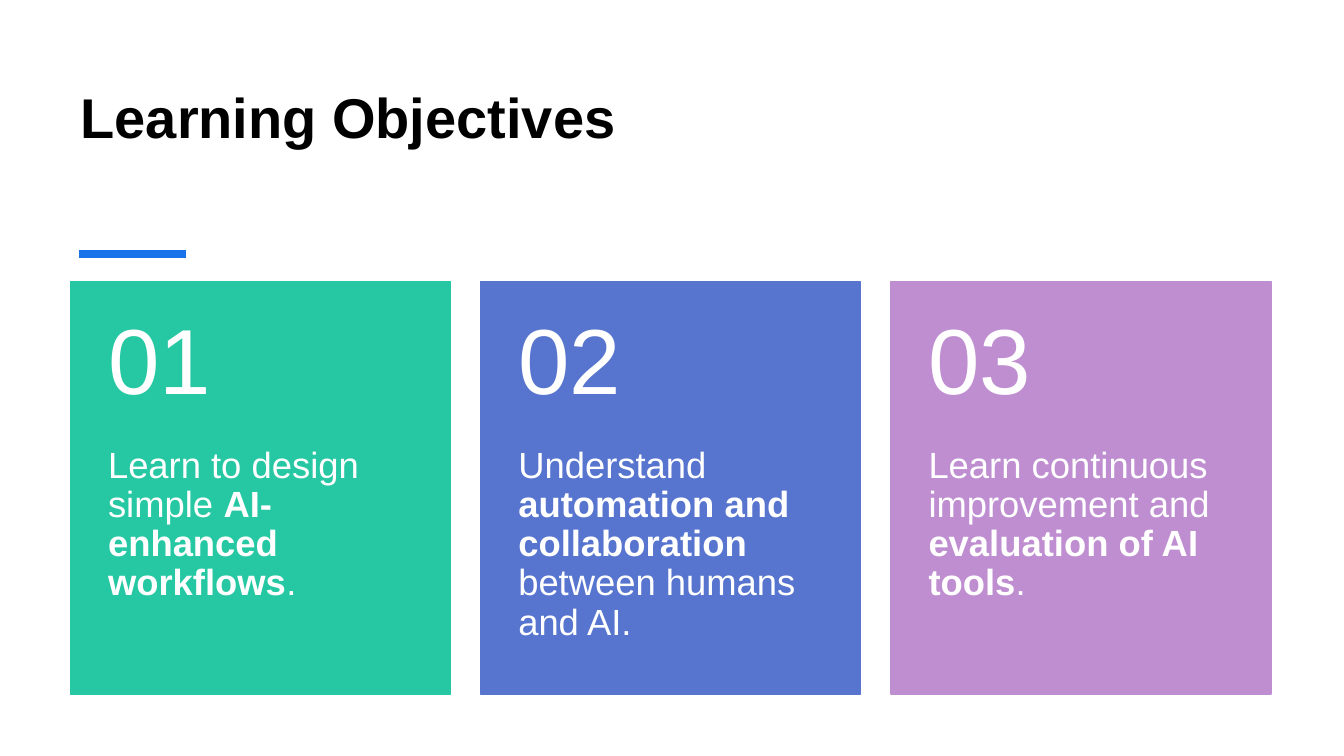
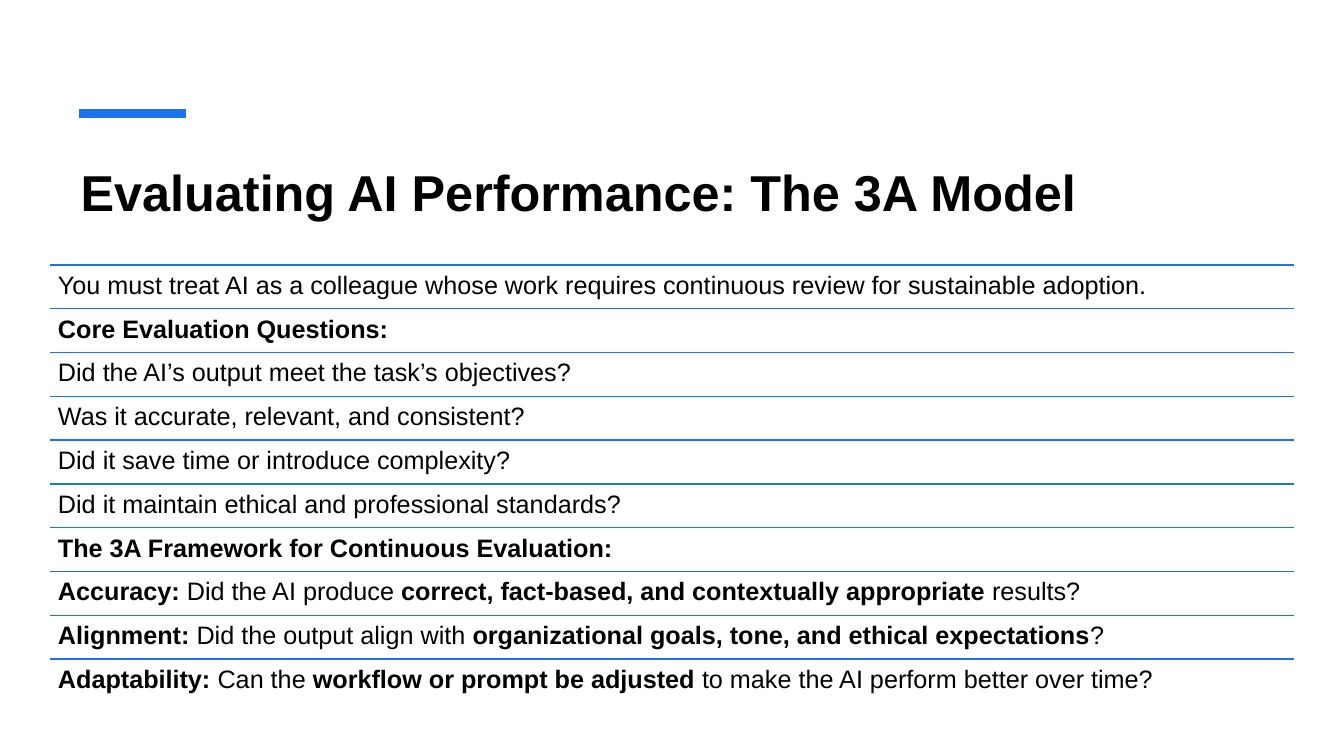
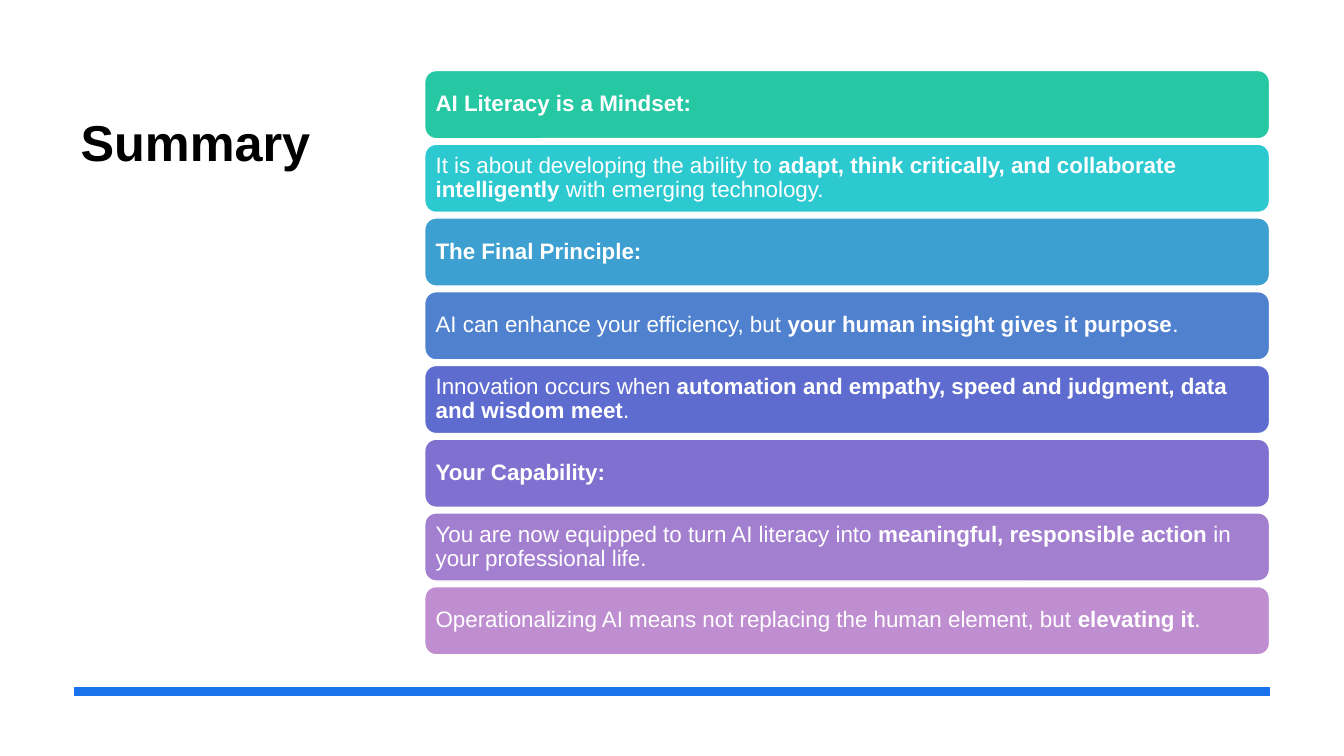
"""Build three slides on AI literacy: objectives, evaluation model and summary."""
from dataclasses import dataclass

from lxml.etree import SubElement
from pptx import Presentation
from pptx.dml.color import RGBColor
from pptx.enum.shapes import MSO_CONNECTOR, MSO_SHAPE
from pptx.enum.text import MSO_ANCHOR, MSO_AUTO_SIZE, PP_ALIGN
from pptx.oxml.ns import qn
from pptx.util import Pt

OBJECTIVES = [
    ("01", "Learn to design simple **AI-enhanced workflows**.", "25C8A2"),
    ("02", "Understand **automation and collaboration** between humans and AI.", "5775CF"),
    ("03", "Learn continuous improvement and **evaluation of AI tools**.", "BF8ED1"),
]
EVALUATION = [
    "You must treat AI as a colleague whose work requires continuous review for sustainable adoption.",
    "**Core Evaluation Questions:**",
    "Did the AI’s output meet the task’s objectives?",
    "Was it accurate, relevant, and consistent?",
    "Did it save time or introduce complexity?",
    "Did it maintain ethical and professional standards?",
    "**The 3A Framework for Continuous Evaluation:**",
    "**Accuracy:** Did the AI produce **correct, fact-based, and contextually appropriate** results?",
    "**Alignment:** Did the output align with **organizational goals, tone, and ethical expectations**?",
    "**Adaptability:** Can the **workflow or prompt be adjusted** to make the AI perform better over time?",
]
SUMMARY = [
    ("**AI Literacy is a Mindset:**", "25C8A2"),
    ("It is about developing the ability to **adapt, think critically, and collaborate intelligently**"
     " with emerging technology.", "2CC9D1"),
    ("**The Final Principle:**", "3DA0D0"),
    ("AI can enhance your efficiency, but **your human insight gives it purpose**.", "4F81CF"),
    ("Innovation occurs when **automation and empathy, speed and judgment, data and wisdom meet**.",
     "5F6CCF"),
    ("**Your Capability:**", "8070CF"),
    ("You are now equipped to turn AI literacy into **meaningful, responsible action**"
     " in your professional life.", "A37FD0"),
    ("Operationalizing AI means not replacing the human element, but **elevating it**.", "BF8ED1"),
]


@dataclass(frozen=True)
class Theme:
    font: str = "Arial"
    ink: str = "000000"
    paper: str = "FFFFFF"
    accent: str = "1973EB"
    title_large: int = 40
    title: int = 36
    number: int = 66
    objective: int = 26
    row: int = 18
    bar: int = 16
    rule: int = 6
    hairline: int = 1
    left: float = 50.4
    width: float = 857.5


THEME = Theme()


def write(shape, text, size, color, insets, anchor=MSO_ANCHOR.TOP, spacing=0.9):
    frame = shape.text_frame
    frame.word_wrap = True
    frame.auto_size = MSO_AUTO_SIZE.NONE
    frame.vertical_anchor = anchor
    frame.margin_left, frame.margin_top, frame.margin_right, frame.margin_bottom = map(Pt, insets)
    para = frame.paragraphs[0]
    para.alignment = PP_ALIGN.LEFT
    para.line_spacing = spacing
    for index, span in enumerate(text.split("**")):
        if span:
            run = para.add_run()
            run.text = span
            run.font.name = THEME.font
            run.font.size = Pt(size)
            run.font.bold = index % 2 == 1
            run.font.color.rgb = RGBColor.from_string(color)


def add_page(deck, title, size, top, width, height, inset):
    page = deck.slides.add_slide(deck.slide_layouts[5])
    box = page.shapes.title
    box.left, box.top, box.width, box.height = map(Pt, (THEME.left, top, width, height))
    write(box, f"**{title}**", size, THEME.ink, (7.2, inset, 7.2, 3.6), spacing=1.0)
    return page


def add_text(page, area, *text_style):
    write(page.shapes.add_textbox(*map(Pt, area)), *text_style)


def add_panel(page, kind, area, fill, outline):
    panel = page.shapes.add_shape(kind, *map(Pt, area))
    panel.shadow.inherit = False
    panel.fill.solid()
    panel.fill.fore_color.rgb = RGBColor.from_string(fill)
    panel.line.color.rgb = RGBColor.from_string(outline)
    panel.line.width = Pt(THEME.hairline)
    return panel


def add_rule(page, left, right, top, weight):
    rule = page.shapes.add_connector(MSO_CONNECTOR.STRAIGHT, Pt(left), Pt(top), Pt(right), Pt(top))
    rule.line.color.rgb = RGBColor.from_string(THEME.accent)
    rule.line.width = Pt(weight)
    SubElement(rule._element.spPr, qn("a:effectLst"))


def build_objectives(deck):
    page = add_page(deck, "Learning Objectives", THEME.title_large, 44.6, THEME.width, 109.4, 14.2)
    add_rule(page, 56.2, 133.2, 181.6, THEME.rule)
    top, height, gap = 201.3, 294.5, 21.6
    width = (THEME.width - gap * (len(OBJECTIVES) - 1)) / len(OBJECTIVES)
    head = height * 0.4
    for index, (number, text, color) in enumerate(OBJECTIVES):
        left = THEME.left + index * (width + gap)
        add_panel(page, MSO_SHAPE.RECTANGLE, (left, top, width, height), color, color)
        add_text(page, (left, top + head, width, height - head), text, THEME.objective,
                 THEME.paper, (26.8, 0, 26.8, 26))
        add_text(page, (left, top, width, head), number, THEME.number,
                 THEME.paper, (26.8, 13, 26.8, 13), MSO_ANCHOR.MIDDLE)


def build_evaluation(deck):
    page = add_page(deck, "Evaluating AI Performance: The 3A Model", THEME.title,
                    108, THEME.width, 86.4, 7.3)
    add_rule(page, 56.2, 133.2, 81.1, THEME.rule)
    left, width, first, pitch = 36, 888, 189.3, 31.28
    for index, text in enumerate(EVALUATION):
        top = first + index * pitch
        add_rule(page, left, left + width, top, THEME.hairline)
        add_text(page, (left, top, width, pitch), text, THEME.row, THEME.ink, (5.4,) * 4)


def build_summary(deck):
    page = add_page(deck, "Summary", THEME.title, 72, 236, 327.6, 7.3)
    add_rule(page, 53.2, 907.2, 493.8, THEME.rule)
    left, first, width, height, gap = 303.4, 50.4, 603.4, 48.7, 3.96
    for index, (text, color) in enumerate(SUMMARY):
        area = (left, first + index * (height + gap), width, height)
        bar = add_panel(page, MSO_SHAPE.ROUNDED_RECTANGLE, area, color, THEME.paper)
        write(bar, text, THEME.bar, THEME.paper, (5.4,) * 4, MSO_ANCHOR.MIDDLE)


def main():
    deck = Presentation()
    deck.slide_width, deck.slide_height = Pt(960), Pt(540)
    build_objectives(deck)
    build_evaluation(deck)
    build_summary(deck)
    deck.save("out.pptx")


if __name__ == "__main__":
    main()
